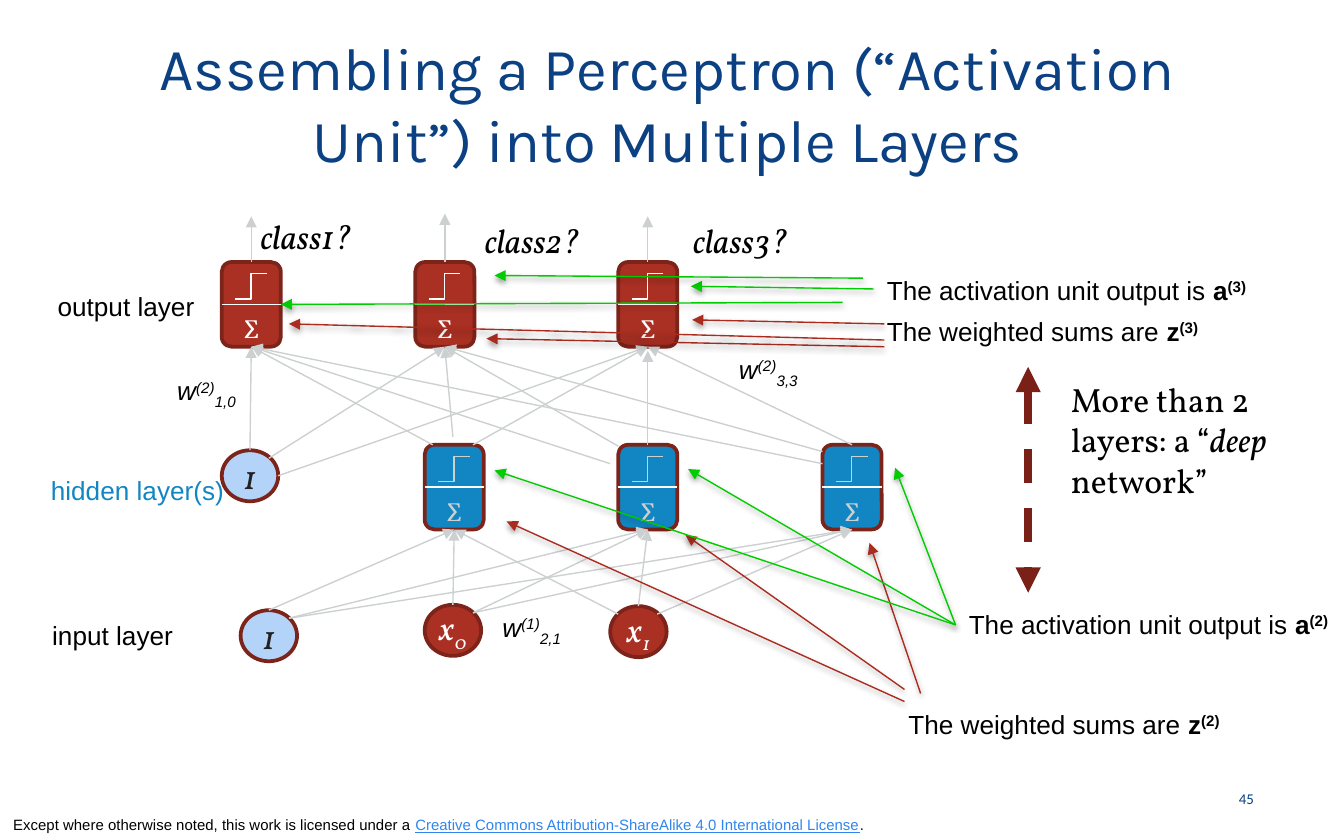
from dataclasses import dataclass

from lxml.etree import SubElement
from pptx import Presentation
from pptx.dml.color import RGBColor
from pptx.enum.dml import MSO_LINE as Dash
from pptx.enum.shapes import MSO_CONNECTOR as Cxn, MSO_SHAPE as Shape
from pptx.enum.text import MSO_ANCHOR as Anchor, MSO_AUTO_SIZE as Auto, PP_ALIGN as Align
from pptx.oxml.ns import qn
from pptx.util import Inches, Pt


@dataclass(frozen=True)
class Theme:
    title: str = "0B4183"
    ink: str = "000000"
    white: str = "FFFFFF"
    grey: str = "CDD0D1"
    link: str = "3085ED"
    output: str = "A93023"
    hidden: str = "1186C3"
    bias: str = "B4D3F8"
    bias_ink: str = "212121"
    border: str = "7D241A"
    depth: str = "7B2017"
    sums: str = "A92C1F"
    activation: str = "00CC00"
    sans: str = "Arial"
    serif: str = "Vollkorn"
    heading: str = "Karla"
    number: str = "Calibri"
    big: int = 32
    large: int = 18
    body: int = 14
    small: int = 8
    thin: float = 0.75


T = Theme()
COLS, ROWS = 100, 62.5
WIDTH, HEIGHT = Inches(10), Inches(6.25)
UNIT_W, UNIT_H = 4.4, 6.3
NODE_W, NODE_H = 4.2, 3.8
TOP, LEFT, BOTTOM, RIGHT = range(4)


def x(col):
    return round(WIDTH * col / COLS)


def y(row):
    return round(HEIGHT * row / ROWS)


def add_text(p, text, size=T.body, font=T.sans, color=T.ink, bold=False,
             italic=False, underline=False, base=0):
    """Append one run; base is the raise (+) or drop (-) in percent."""
    r = p.add_run()
    r.text = text
    f = r.font
    f.size, f.name, f.bold, f.italic, f.underline = Pt(size), font, bold, italic, underline
    f.color.rgb = RGBColor.from_string(color)
    if base:
        r._r.get_or_add_rPr().set("baseline", str(base * 1000))


class Diagram:
    """Draws styled elements on one slide, placed by grid column and row."""

    def __init__(self, slide):
        self.s = slide

    def fill_text(self, tf, runs, align, anchor, **fmt):
        tf.vertical_anchor = anchor
        p = tf.paragraphs[0]
        p.alignment = align
        for text, extra in runs:
            add_text(p, text, **{**fmt, **extra})

    def label(self, col, row, w, h, *runs, wrap=False, grow=True,
              align=Align.LEFT, anchor=Anchor.TOP, **fmt):
        tf = self.s.shapes.add_textbox(x(col), y(row), x(w), y(h)).text_frame
        tf.word_wrap = wrap
        tf.auto_size = Auto.SHAPE_TO_FIT_TEXT if grow else Auto.NONE
        self.fill_text(tf, runs, align, anchor, **fmt)

    def shape(self, kind, col, row, w, h, fill, runs, anchor, **fmt):
        sp = self.s.shapes.add_shape(kind, x(col), y(row), x(w), y(h))
        sp.shadow.inherit = False
        sp.fill.solid()
        sp.fill.fore_color.rgb = RGBColor.from_string(fill)
        sp.line.color.rgb = RGBColor.from_string(T.border)
        sp.line.width = Pt(2)
        tf = sp.text_frame
        tf.margin_left = tf.margin_top = tf.margin_right = tf.margin_bottom = 0
        self.fill_text(tf, runs, Align.CENTER, anchor, font=T.serif, **fmt)
        return sp

    def line(self, start, end, color=T.grey, width=T.thin, kind=Cxn.STRAIGHT,
             head=False, tail=True, dash=None, shadow=False):
        """Each end is a (col, row) point or a (shape, side) joint."""
        points = [(0, 0) if hasattr(a, "shape_id") else (x(a), y(b)) for a, b in (start, end)]
        c = self.s.shapes.add_connector(kind, *points[0], *points[1])
        for (a, b), join in ((start, c.begin_connect), (end, c.end_connect)):
            if hasattr(a, "shape_id"):
                join(a, b)
        c.line.color.rgb = RGBColor.from_string(color)
        c.line.width = Pt(width)
        if dash:
            c.line.dash_style = dash
        spPr = c._element.spPr
        for tag, wanted in (("a:headEnd", head), ("a:tailEnd", tail)):
            if wanted:
                SubElement(spPr.get_or_add_ln(), qn(tag), type="triangle")
        effects = SubElement(spPr, qn("a:effectLst"))
        if shadow:
            cast = SubElement(effects, qn("a:outerShdw"), blurRad=str(Pt(3.1)),
                              dist=str(Pt(1.6)), dir="5400000", rotWithShape="0")
            black = SubElement(cast, qn("a:srgbClr"), val="000000")
            SubElement(black, qn("a:alpha"), val="38000")

    def unit(self, col, row, fill, ink):
        """A perceptron: a sum below a step function."""
        sp = self.shape(Shape.ROUNDED_RECTANGLE, col, row, UNIT_W, UNIT_H, fill,
                        [("Σ", {})], Anchor.BOTTOM, color=ink)
        self.line((sp, LEFT), (sp, RIGHT), T.white, tail=False)
        self.line((col + 1, row + 2.75), (col + 3.35, row + 0.85), ink,
                  kind=Cxn.ELBOW, tail=False)
        return sp

    def node(self, col, row, fill, ink, *runs):
        return self.shape(Shape.OVAL, col, row, NODE_W, NODE_H, fill, runs, Anchor.MIDDLE,
                          size=T.large, color=ink, italic=True)

    def weight(self, col, row, layer, index):
        self.label(col, row, 6.9, 3.4, ("w", {}), (layer, {"base": 30}),
                   (index, {"base": -25}), italic=True)

    def caption(self, col, row, w, text, symbol, layer):
        self.label(col, row, w, 3.4, (text, {}), (symbol, {"bold": True}),
                   (layer, {"bold": True, "base": 30}))


def draw_network(d):
    outputs = [d.unit(col, 19.5, T.output, T.white) for col in (16.5, 30.9, 46)]
    hidden = [d.unit(col, 33.1, T.hidden, T.grey) for col in (31.6, 46, 61.2)]
    hidden_bias = d.node(16.5, 33.5, T.bias, T.bias_ink, ("1", {}))
    input_bias = d.node(17.9, 45.4, T.bias, T.bias_ink, ("1", {}))
    x0, x1 = [d.node(col, row, T.output, T.white, ("x", {}), (i, {"base": -25}))
              for col, row, i in ((31.6, 45, "0"), (45.4, 45.1, "1"))]

    incoming = [
        (outputs[0], [(hidden_bias, TOP), (32.2, 33.1), (45.4, 34.5), (61.2, 34.5)]),
        (outputs[1], [(20, 34.1), (33.7, 32.5), (46, 33.2), (61.2, 33.6)]),
        (outputs[2], [(20.7, 35.4), (35.2, 33.1), (hidden[2], TOP)]),
        (hidden[0], [(input_bias, TOP), (x0, TOP), (46, 45.7)]),
        (hidden[1], [(21.5, 46), (35.2, 45.6), (x1, TOP)]),
        (hidden[2], [(21.5, 46), (35.2, 45.6), (48.9, 45.7)]),
    ]
    for target, sources in incoming:
        for source in sources:
            d.line(source, (target, BOTTOM))
    d.line((hidden[1], TOP), (48.2, 26.1))
    for sp, col, row in zip(outputs, (18.7, 33.1, 48.2), (16.1, 15.9, 16.1)):
        d.line((sp, TOP), (col, row))
    return outputs


def draw_labels(d):
    d.label(78.7, 27.7, 19, 10.1, ("More than 2 layers: a “", {}), ("deep ", {"italic": True}),
            ("network”", {}), wrap=True, size=T.large, font=T.serif)
    for i, (col, row, w) in enumerate(((18.4, 15.6, 9.2), (35.1, 15.9, 9.6), (50.6, 15.9, 9.6)), 1):
        d.label(col, row, w, 4, (f"class{i}?", {}), size=T.large, font=T.serif, italic=True)
    for col, row, w, text, color in ((2.9, 45.6, 11, "input layer", T.ink),
                                     (2.8, 34.8, 15, "hidden layer(s)", T.hidden),
                                     (3.3, 21.1, 12.2, "output layer", T.ink)):
        d.label(col, row, w, 3.4, (text, {}), color=color)
    d.weight(12.2, 27.4, "(2)", "1,0")
    d.weight(54, 25.8, "(2)", "3,3")
    d.weight(36.4, 45, "(1)", "2,1")
    for col, row, layer in ((66.6, 52.2, "(2)"), (65, 23, "(3)")):
        d.caption(col, row, 25.5, "The weighted sums are ", "z", layer)
    for col, row, layer in ((65, 19.9, "(3)"), (71.1, 44.8, "(2)")):
        d.caption(col, row, 29.9, "The activation unit output is ", "a", layer)


def draw_pointers(d, outputs):
    d.line((76.5, 27.3), (76.5, 44.1), T.depth, 4.5, head=True, dash=Dash.DASH)
    sums = [((68.5, 51.6), (64.7, 40.4)), ((67.3, 51.3), (51, 39.8)),
            ((67.3, 52.2), (37.7, 38.8)), ((65.8, 24.1), (51.5, 23.8)),
            ((65.8, 25.8), (36.2, 25.2)), ((65.8, 25.3), (21.5, 24.1))]
    activations = [((71.1, 46.5), end) for end in ((66.6, 34.8), (51.2, 34.9), (36.8, 35))]
    activations += [((65, 21.5), (51.4, 21.3)), ((64.2, 20.7), (36.8, 20.5)),
                    ((62.7, 22.5), (outputs[0], RIGHT))]
    for color, arrows in ((T.sums, sums), (T.activation, activations)):
        for start, end in arrows:
            d.line(start, end, color, shadow=True)


def main():
    prs = Presentation()
    prs.slide_width, prs.slide_height = WIDTH, HEIGHT
    d = Diagram(prs.slides.add_slide(prs.slide_layouts[6]))
    d.label(0, 60.2, 75, 2.3, ("Except where otherwise noted, this work is licensed under a ", {}),
            ("Creative Commons Attribution-ShareAlike 4.0 International License",
             {"color": T.link, "underline": True}), (".", {}),
            wrap=True, grow=False, anchor=Anchor.BOTTOM, size=T.small)
    d.label(5.1, 1.7, 89.2, 11.9,
            ("Assembling a Perceptron (“Activation Unit”) into Multiple Layers", {}),
            wrap=True, grow=False, align=Align.CENTER, anchor=Anchor.MIDDLE,
            size=T.big, font=T.heading, color=T.title)
    d.label(89.8, 57.8, 4.5, 3.3, ("45", {}), wrap=True, grow=False, align=Align.RIGHT,
            anchor=Anchor.MIDDLE, size=T.small, font=T.number, color=T.title)
    outputs = draw_network(d)
    draw_labels(d)
    draw_pointers(d, outputs)
    prs.save("out.pptx")


if __name__ == "__main__":
    main()
